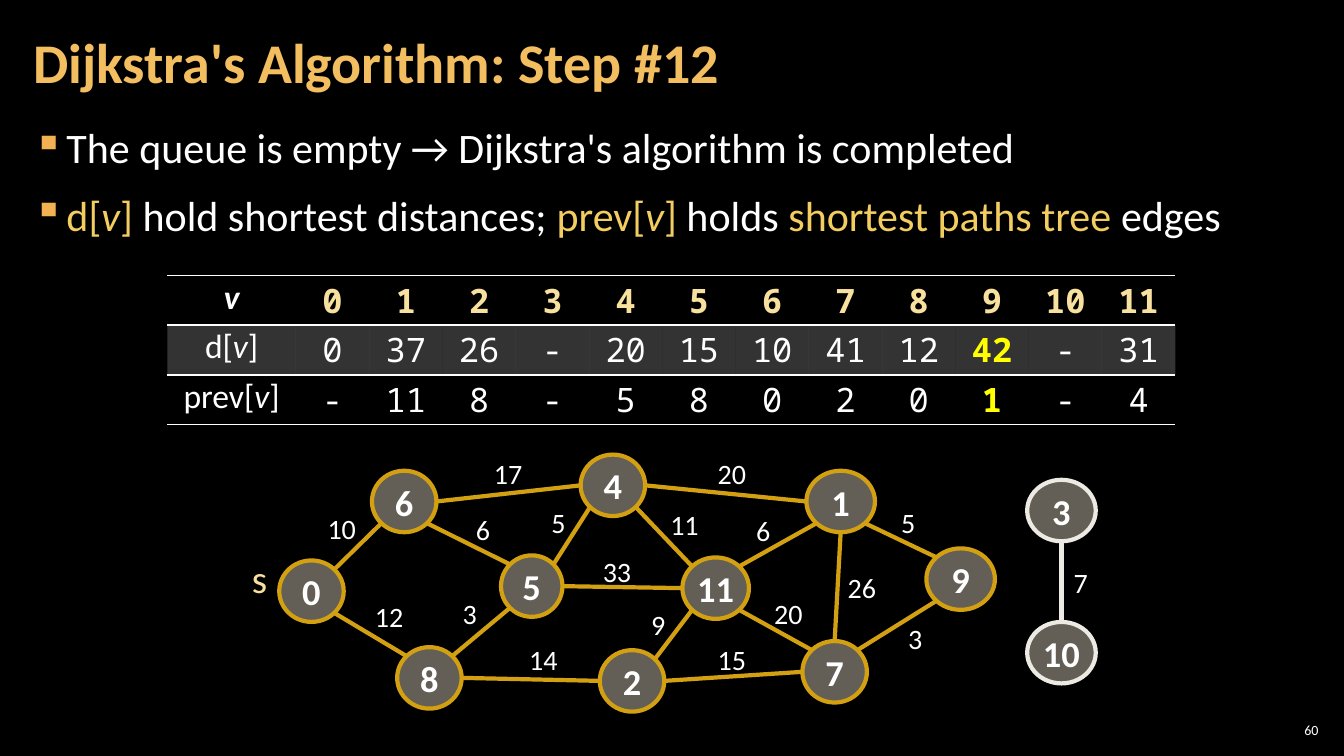
import math

from lxml import etree
from pptx import Presentation
from pptx.dml.color import RGBColor
from pptx.enum.shapes import MSO_CONNECTOR, MSO_SHAPE
from pptx.enum.text import MSO_ANCHOR, PP_ALIGN
from pptx.oxml.ns import qn
from pptx.util import Inches, Pt

LEFT, MID, RIGHT = PP_ALIGN.LEFT, PP_ALIGN.CENTER, PP_ALIGN.RIGHT
TOP, CENTER = MSO_ANCHOR.TOP, MSO_ANCHOR.MIDDLE
OVAL, LINE = MSO_SHAPE.OVAL, MSO_CONNECTOR.STRAIGHT

COLS, ROWS = 133.33, 75  # one cell is a tenth of an inch
PLAIN_TABLE = "{2D5ABB26-0587-4C30-8999-92F81FD0307C}"
SANS, MONO = "Calibri", "Noto Sans Mono"
HUES = {
    "black": "000000", "white": "FFFFFF", "title": "F3BE60", "bullet": "F2B254",
    "key": "F3CD60", "pale": "F8E19F", "new": "FFFF00", "node": "C7BFAC",
    "tree": "D2A010", "lone": "ECEAE3",
}

BULLETS = [
    [("The queue is empty → Dijkstra's algorithm is completed", "white", False)],
    [("d[", "key", False), ("v", "key", True), ("] ", "key", False),
     ("hold shortest distances; ", "white", False),
     ("prev[", "key", False), ("v", "key", True), ("]", "key", False),
     (" holds ", "white", False), ("shortest paths tree ", "key", False),
     ("edges", "white", False)],
]
DIST = "0 37 26 - 20 15 10 41 12 42 - 31".split()
PREV = "- 11 8 - 5 8 0 2 0 1 - 4".split()
LAST = 9  # vertex settled in this step

# vertex: centre column, centre row, width
NODES = {
    0: (30.9, 58.65, 6.4), 1: (83.4, 49.75, 6.8), 2: (62.7, 67.55, 6.4),
    3: (105.3, 50.65, 6.8), 4: (60.8, 48.15, 6.4), 5: (52.75, 58.15, 6.1),
    6: (40.1, 49.75, 6.4), 7: (82.8, 66.65, 6.4), 8: (42.6, 67.25, 6.4),
    9: (95.3, 57.45, 6.8), 10: (105.3, 64.75, 6.8), 11: (71, 58.35, 6.6),
}
TALL = 6.1
LONE = (3, 10)
# from, to, weight, label column, label row
EDGES = [
    (0, 6, 10, 31.5, 50.3), (0, 8, 12, 36.2, 59), (6, 4, 17, 48, 44.8),
    (6, 5, 6, 46.2, 50.4), (4, 5, 5, 53.7, 49.7), (4, 11, 11, 65.5, 49.9),
    (4, 1, 20, 70.2, 44.8), (5, 11, 33, 58.8, 54.5), (5, 8, 3, 44.9, 58.7),
    (8, 2, 14, 51.5, 63.2), (2, 11, 9, 63.6, 59.8), (2, 7, 15, 70.2, 63.3),
    (11, 1, 6, 74, 50.5), (11, 7, 20, 75.8, 58.7), (7, 1, 26, 83.1, 56.1),
    (1, 9, 5, 88.4, 49.7), (9, 7, 3, 89.1, 61.2), (3, 10, 7, 105.5, 55.6),
]


def rgb(hue):
    return RGBColor.from_string(HUES[hue])


def fade(fill, hue, share):
    """Fill with a see-through colour; share is the opacity in percent."""
    fill.solid()
    fill.fore_color.rgb = rgb(hue)
    tint = fill._xPr.find(qn("a:solidFill"))[0]
    etree.SubElement(tint, qn("a:alpha")).set("val", str(share * 1000))


def rim(cell, *sides):
    """Draw thin white lines on the given sides of a table cell."""
    for spot, side in enumerate(sides):
        edge = etree.Element(qn("a:" + side), w=str(Pt(1)))
        paint = etree.SubElement(edge, qn("a:solidFill"))
        etree.SubElement(paint, qn("a:srgbClr"), val=HUES["white"])
        cell._tc.get_or_add_tcPr().insert(spot, edge)


class Deck:
    def __init__(self):
        self.pres = Presentation()
        self.pres.slide_width, self.pres.slide_height = Inches(13.33), Inches(7.5)
        self.slide = self.pres.slides.add_slide(self.pres.slide_layouts[6])
        self.slide.background.fill.solid()
        self.slide.background.fill.fore_color.rgb = rgb("black")
        self.shapes = self.slide.shapes

    def x(self, cols):
        return round(self.pres.slide_width * cols / COLS)

    def y(self, rows):
        return round(self.pres.slide_height * rows / ROWS)

    def area(self, left, top, wide, tall):
        return self.x(left), self.y(top), self.x(wide), self.y(tall)

    def pen(self, para, runs, size, hue="white", bold=False, font=SANS, align=LEFT):
        """Fill a paragraph from a string or from (text, hue, italic) runs."""
        para.alignment = align
        face = para.font
        face.name, face.size, face.bold = font, Pt(size), bold
        face.color.rgb = rgb(hue)
        if isinstance(runs, str):
            runs = [(runs, hue, False)]
        for text, tone, slant in runs:
            run = para.add_run()
            run.text = text
            if tone != hue:
                run.font.color.rgb = rgb(tone)
            if slant:
                run.font.italic = True

    def pad(self, frame, side, end):
        frame.margin_left = frame.margin_right = self.x(side)
        frame.margin_top = frame.margin_bottom = self.y(end)

    def text(self, spot, runs, size, wrap=True, anchor=TOP, side=1, end=0.5, **style):
        frame = self.shapes.add_textbox(*self.area(*spot)).text_frame
        frame.word_wrap, frame.vertical_anchor = wrap, anchor
        self.pad(frame, side, end)
        self.pen(frame.paragraphs[0], runs, size, **style)
        return frame

    def points(self, spot, items, size):
        frame = self.shapes.add_textbox(*self.area(*spot)).text_frame
        frame.word_wrap = True
        self.pad(frame, 1.2, 0.4)
        for i, runs in enumerate(items):
            para = frame.add_paragraph() if i else frame.paragraphs[0]
            para.space_before, para.space_after = Pt(6 if i else 0), Pt(6)
            props = para._p.get_or_add_pPr()
            props.set("marL", str(self.x(3.3)))
            props.set("indent", str(-self.x(3.3)))
            tint = etree.SubElement(props, qn("a:buClr"))
            etree.SubElement(tint, qn("a:srgbClr"), val=HUES["bullet"])
            etree.SubElement(props, qn("a:buChar"), char="▪")
            self.pen(para, runs, size)

    def table(self, left, top, heads, rows):
        wide, tall, first, rest = 100, 4.95, 12.76, 7.27
        count = len(rows[0]) + 1
        spot = self.area(left, top, wide, tall * len(rows))
        grid = self.shapes.add_table(len(rows), count, *spot).table
        grid.first_row = grid.horz_banding = False
        grid._tbl.tblPr.find(qn("a:tableStyleId")).text = PLAIN_TABLE
        for c in range(count):
            grid.columns[c].width = self.x(rest if c else first)
        for r, (head, row) in enumerate(zip(heads, rows)):
            grid.rows[r].height = self.y(tall)
            for c, value in enumerate([head] + row):
                cell = grid.cell(r, c)
                self.pad(cell, 0.4, 0.2)
                new = r > 0 and c == LAST + 1
                hue = "new" if new else "pale" if c and not r else "white"
                self.pen(cell.text_frame.paragraphs[0], value, 24, hue,
                         new or r == 0, MONO if c else SANS, MID)
                if r == 1:
                    fade(cell.fill, "white", 20)
                else:
                    cell.fill.background()
                rim(cell, *(["lnB"] if r else ["lnT", "lnB"]))

    def node(self, name):
        col, row, wide = NODES[name]
        oval = self.shapes.add_shape(
            OVAL, *self.area(col - wide / 2, row - TALL / 2, wide, TALL))
        oval.shadow.inherit = False
        fade(oval.fill, "node", 50)
        oval.line.color.rgb = rgb("lone" if name in LONE else "tree")
        oval.line.width = Pt(3)
        frame = oval.text_frame
        frame.vertical_anchor = CENTER
        self.pad(frame, 0.4, 0.5)
        self.pen(frame.paragraphs[0], str(name), 26, bold=True, align=MID)

    def edge(self, start, end):
        """Join two nodes at the nearest of the eight points on each rim."""
        (ax, ay, aw), (bx, by, bw) = NODES[start], NODES[end]
        step = math.pi / 4
        turn = round(math.atan2(by - ay, bx - ax) / step) * step
        dx, dy = math.cos(turn) / 2, math.sin(turn) / 2 * TALL
        line = self.shapes.add_connector(
            LINE, self.x(ax + dx * aw), self.y(ay + dy),
            self.x(bx - dx * bw), self.y(by - dy))
        line.line.color.rgb = rgb("lone" if start in LONE else "tree")
        line.line.width = Pt(3)
        etree.SubElement(line._element.spPr, qn("a:effectLst"))


def main():
    deck = Deck()
    title = deck.text((2.1, 0.4, 104.7, 12.1), "Dijkstra's Algorithm: Step #12", 40,
                      anchor=CENTER, side=1.2, hue="title", bold=True)
    title.paragraphs[0].line_spacing = 0.9
    deck.points((2.1, 11.7, 129.1, 14), BULLETS, 30)
    heads = [[(pre, "white", False), ("v", "white", True), (post, "white", False)]
             for pre, post in (("d[", "]"), ("prev[", "]"))]
    names = [str(n) for n in sorted(NODES)]
    deck.table(16.6, 27.3, [[("v", "white", True)]] + heads, [names, DIST, PREV])
    for start, end, *_ in EDGES:
        deck.edge(start, end)
    for name in NODES:
        deck.node(name)
    for *_, weight, col, row in EDGES:
        label = str(weight)
        deck.text((col, row, 1.9 + 1.5 * len(label), 4.4), label, 20, wrap=False)
    deck.text((24, 54.5, 3.6, 5.7), "s", 28, wrap=False, hue="pale")
    deck.text((126.5, 71.4, 4.7, 2.1), "60", 10, anchor=CENTER, side=0.4, end=0.4, align=RIGHT)
    deck.pres.save("out.pptx")


if __name__ == "__main__":
    main()
